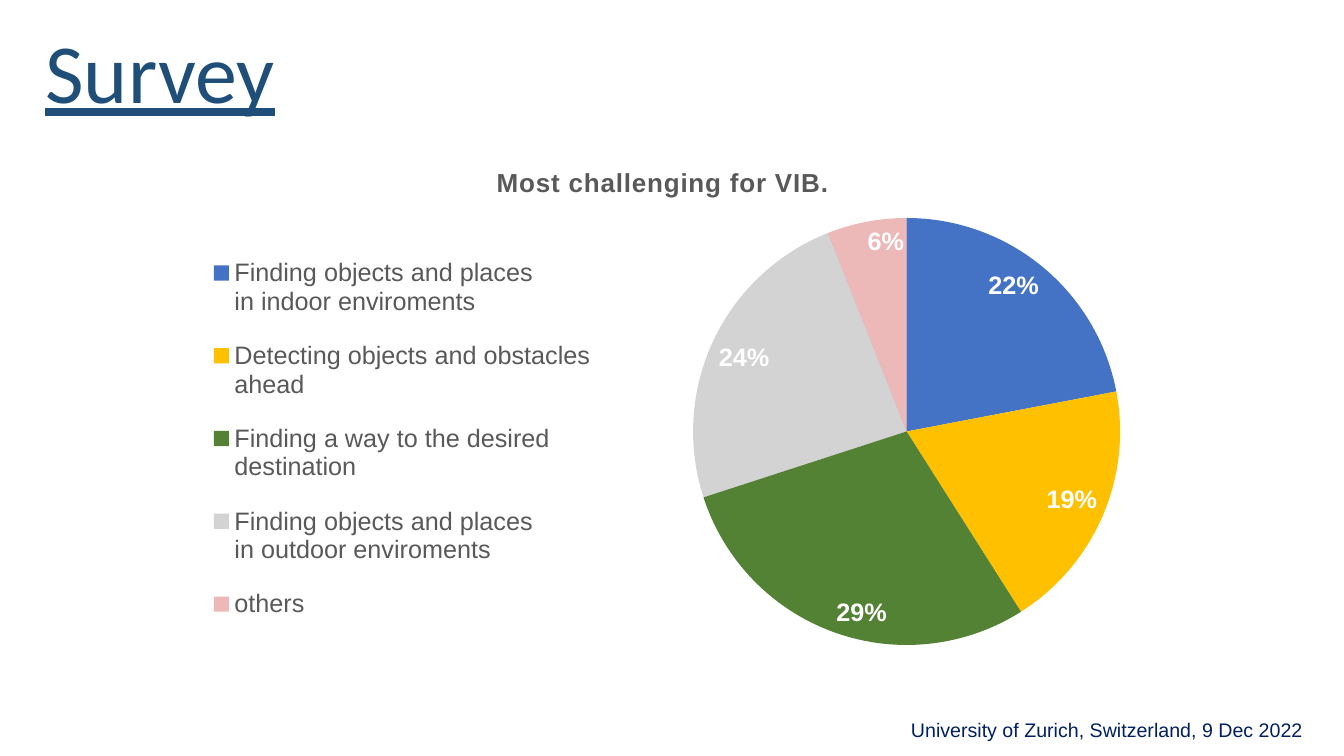
from lxml.etree import SubElement
from pptx import Presentation
from pptx.chart.data import CategoryChartData
from pptx.dml.color import RGBColor
from pptx.enum.chart import XL_CHART_TYPE, XL_LABEL_POSITION, XL_LEGEND_POSITION
from pptx.enum.text import MSO_ANCHOR, MSO_AUTO_SIZE, PP_ALIGN
from pptx.oxml import parse_xml
from pptx.oxml.ns import nsdecls, qn
from pptx.util import Pt

PX = 914400 / 100.8
TITLE_BLUE = RGBColor(0x1F, 0x4E, 0x79)
NAVY = RGBColor(0x00, 0x20, 0x60)
GRAY = RGBColor(0x59, 0x59, 0x59)
WHITE = RGBColor(0xFF, 0xFF, 0xFF)
BLUE = RGBColor(0x44, 0x72, 0xC4)
GOLD = RGBColor(0xFF, 0xC0, 0x00)
GREEN = RGBColor(0x54, 0x82, 0x35)
BLACK = RGBColor(0x0D, 0x0D, 0x0D)
RED = RGBColor(0xC0, 0x00, 0x00)

QUESTION = "Most challenging for VIB."
# Answer, share in percent, colour, opacity in percent
ANSWERS = [
    ("Finding objects and places \nin indoor enviroments", 22, BLUE, 100),
    ("Detecting objects and obstacles\nahead", 19, GOLD, 100),
    ("Finding a way to the desired\ndestination", 29, GREEN, 100),
    ("Finding objects and places \nin outdoor enviroments", 24, BLACK, 18),
    ("others", 6, RED, 28),
]


def emu(*lengths):
    return [round(length * PX) for length in lengths]


def set_font(font, name, size, color, bold=False):
    font.name = name
    font.size = Pt(size)
    font.color.rgb = color
    font.bold = bold


def chart_layout(box, left, top, width=None, height=None, inner=False):
    """Build a manual layout from px lengths inside the chart box."""
    fractions = {"x": left / box[2], "y": top / box[3]}
    if width:
        fractions.update(w=width / box[2], h=height / box[3])
    target = '<c:layoutTarget val="inner"/>' if inner else ""
    modes = '<c:xMode val="edge"/><c:yMode val="edge"/>'
    values = "".join(f'<c:{key} val="{value:.3f}"/>' for key, value in fractions.items())
    return parse_xml(
        f'<c:layout {nsdecls("c")}><c:manualLayout>{target}{modes}{values}'
        "</c:manualLayout></c:layout>"
    )


def place_layout(parent, layout, before):
    """Put the layout in place of any present one, ahead of the named element."""
    for present in parent.findall(qn("c:layout")):
        parent.remove(present)
    parent.find(qn(before)).addprevious(layout)


def add_title(slide, box):
    title = slide.shapes.title
    title.left, title.top, title.width, title.height = emu(*box)
    frame = title.text_frame
    frame.text = "Survey"
    frame.auto_size = MSO_AUTO_SIZE.NONE
    frame.vertical_anchor = MSO_ANCHOR.BOTTOM
    para = frame.paragraphs[0]
    para.alignment = PP_ALIGN.CENTER
    para.line_spacing = 0.9
    set_font(para.font, "Calibri", 60, TITLE_BLUE)
    para.font.underline = True


def format_chart_title(chart, box):
    frame = chart.chart_title.text_frame
    frame.text = QUESTION
    para = frame.paragraphs[0]
    set_font(para.font, "Arial", 18.6, GRAY, bold=True)
    para.runs[0].font.bold = True
    para.font._element.set("spc", "50")
    chart.chart_title.include_in_layout = False
    place_layout(chart.chart_title._element, chart_layout(box, 385, 24), "c:overlay")


def format_legend(chart, box):
    chart.has_legend = True
    legend = chart.legend
    legend.position = XL_LEGEND_POSITION.LEFT
    legend.include_in_layout = False
    set_font(legend.font, "Arial", 18, GRAY)
    place_layout(legend._element, chart_layout(box, 95, 96, 400, 412), "c:overlay")


def format_slices(plot):
    plot.vary_by_categories = True
    for index, (_, _, color, opacity) in enumerate(ANSWERS):
        slice_format = plot.series[0].points[index].format
        slice_format.line.fill.background()
        slice_format.fill.solid()
        slice_format.fill.fore_color.rgb = color
        if opacity < 100:
            fill = slice_format.fill._xPr.find(qn("a:solidFill"))
            SubElement(fill[0], qn("a:alpha"), val=str(opacity * 1000))
    labels = plot.series[0].data_labels
    labels.show_value = False
    labels.show_percentage = True
    labels.number_format = "0%"
    labels.number_format_is_linked = False
    labels.position = XL_LABEL_POSITION.INSIDE_END
    set_font(labels.font, "Arial", 18, WHITE, bold=True)


def add_survey_chart(slide, box):
    data = CategoryChartData()
    data.categories = [answer[0] for answer in ANSWERS]
    data.add_series(QUESTION, [answer[1] for answer in ANSWERS])
    chart = slide.shapes.add_chart(XL_CHART_TYPE.PIE, *emu(*box), data).chart
    chart.font.name = "Arial"
    chart.font.size = Pt(10)
    format_chart_title(chart, box)
    format_legend(chart, box)
    format_slices(chart.plots[0])
    plot_area = chart.plots[0]._element.getparent()
    place_layout(plot_area, chart_layout(box, 586, 81, 428, 427, inner=True), "c:pieChart")


def add_venue(slide, box):
    frame = slide.shapes.add_textbox(*emu(*box)).text_frame
    frame.word_wrap = True
    frame.text = "University of Zurich, Switzerland, 9 Dec 2022"
    set_font(frame.paragraphs[0].font, "Arial", 14, NAVY)


def main():
    deck = Presentation()
    deck.slide_width, deck.slide_height = emu(1344, 756)
    slide = deck.slides.add_slide(deck.slide_layouts[5])
    add_title(slide, (-16, 18, 352, 109))
    add_survey_chart(slide, (107, 137, 1103, 544))
    add_venue(slide, (901, 713, 436, 34))
    deck.save("out.pptx")


if __name__ == "__main__":
    main()
